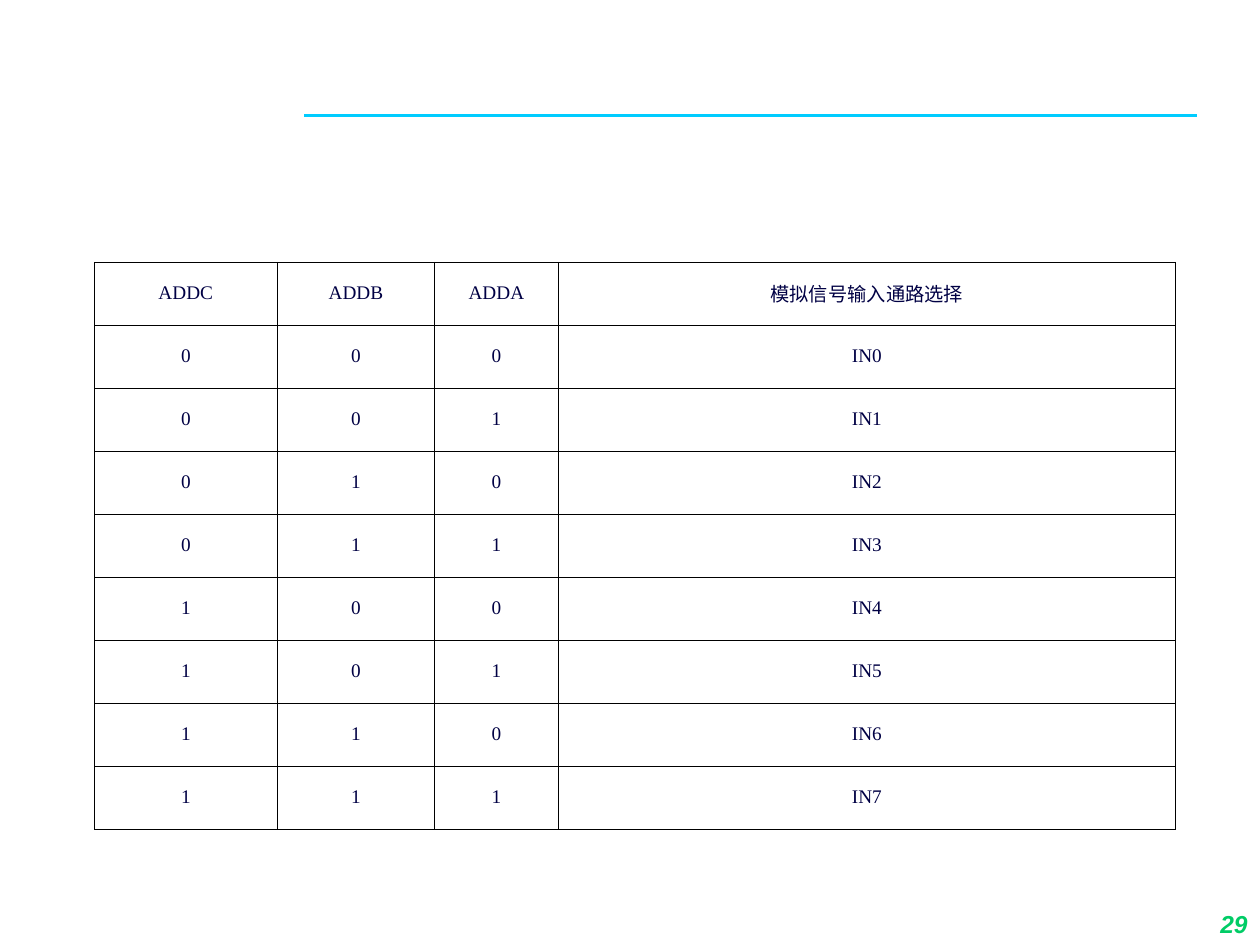
import pptx
import pptx.dml.color
import pptx.enum.shapes
import pptx.enum.text
import pptx.oxml.ns
import pptx.util
from lxml import etree

Pt = pptx.util.Pt
COLOURS = {"rule": "00CCFF", "grid": "000000", "text": "000044", "number": "00CC66"}
HEADINGS = ["ADDC", "ADDB", "ADDA", "模拟信号输入通路选择"]
COLUMN_WIDTHS = [104.4, 90, 70.6, 352.8]
ROW_HEIGHT = 36
CHANNELS = 8
INNER_LINE, SIDE_LINE, END_LINE = 0.45, 0.34, 0.96


def rgb(name):
    return pptx.dml.color.RGBColor.from_string(COLOURS[name])


def add_child(parent, tag, **attributes):
    return etree.SubElement(parent, pptx.oxml.ns.qn(tag), attributes)


def add_rule(page):
    rule = page.shapes.add_connector(
        pptx.enum.shapes.MSO_CONNECTOR.STRAIGHT, Pt(174), Pt(66), Pt(684), Pt(66))
    rule.line.color.rgb = rgb("rule")
    rule.line.width = Pt(2)
    add_child(rule._element.spPr, "a:effectLst")


def format_paragraph(para, alignment, font_name, size, colour):
    para.alignment = alignment
    para.font.name = font_name
    para.font.size = Pt(size)
    para.font.color.rgb = rgb(colour)


def set_borders(cell, widths):
    """Draw the left, right, top and bottom borders, with widths in points."""
    properties = cell._tc.get_or_add_tcPr()
    for side, width in zip("LRTB", widths):
        line = add_child(properties, f"a:ln{side}", w=str(Pt(width)))
        fill = add_child(line, "a:solidFill")
        add_child(fill, "a:srgbClr", val=COLOURS["grid"])


def fill_cell(cell, text):
    cell.text_frame.text = text
    cell.vertical_anchor = pptx.enum.text.MSO_ANCHOR.MIDDLE
    cell.fill.background()
    para = cell.text_frame.paragraphs[0]
    para.line_spacing = 0.9
    format_paragraph(para, pptx.enum.text.PP_ALIGN.CENTER, "Times New Roman", 11, "text")


def add_address_table(page):
    """Add the table of three address bits and the channel they select."""
    rows = [HEADINGS] + [[*f"{n:03b}", f"IN{n}"] for n in range(CHANNELS)]
    table = page.shapes.add_table(
        len(rows), len(HEADINGS), Pt(54), Pt(150),
        Pt(sum(COLUMN_WIDTHS)), Pt(ROW_HEIGHT * len(rows))).table
    table.first_row = table.horz_banding = False
    for column, width in zip(table.columns, COLUMN_WIDTHS):
        column.width = Pt(width)
    last_row, last_column = len(rows) - 1, len(HEADINGS) - 1
    for r, row in enumerate(rows):
        table.rows[r].height = Pt(ROW_HEIGHT)
        for c, text in enumerate(row):
            cell = table.cell(r, c)
            set_borders(cell, [
                SIDE_LINE if c == 0 else INNER_LINE,
                SIDE_LINE if c == last_column else INNER_LINE,
                END_LINE if r == 0 else INNER_LINE,
                END_LINE if r == last_row else INNER_LINE])
            fill_cell(cell, text)


def add_page_number(page, number):
    box = page.shapes.add_textbox(Pt(570), Pt(504), Pt(150), Pt(36))
    frame = box.text_frame
    frame.word_wrap = True
    frame.vertical_anchor = pptx.enum.text.MSO_ANCHOR.BOTTOM
    frame.text = number
    para = frame.paragraphs[0]
    format_paragraph(para, pptx.enum.text.PP_ALIGN.RIGHT, "Arial", 14, "number")
    para.font.bold = para.font.italic = True


def main():
    deck = pptx.Presentation()
    deck.slide_width, deck.slide_height = Pt(720), Pt(540)
    page = deck.slides.add_slide(deck.slide_layouts[6])
    add_rule(page)
    add_address_table(page)
    add_page_number(page, "29")
    deck.save("out.pptx")


if __name__ == "__main__":
    main()
